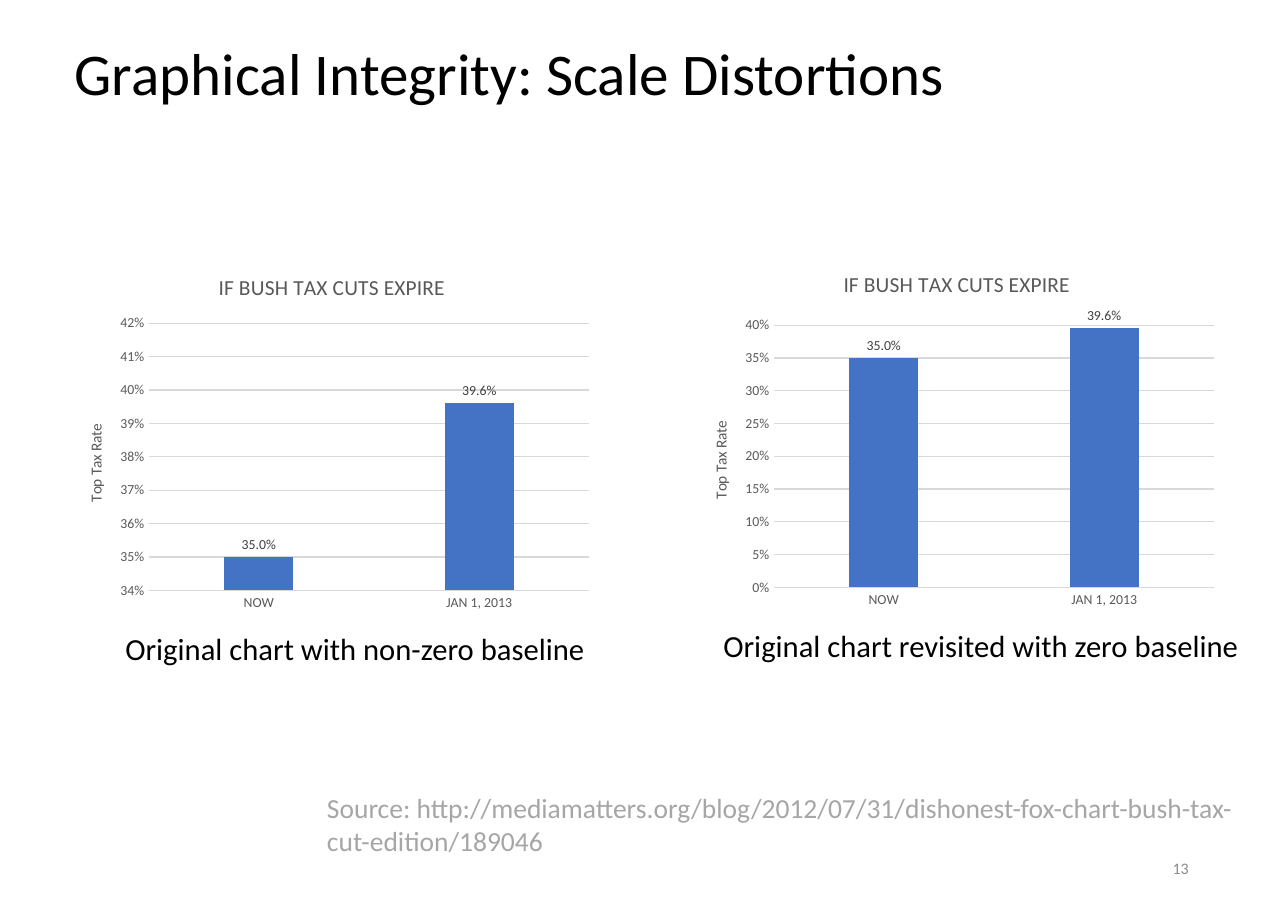
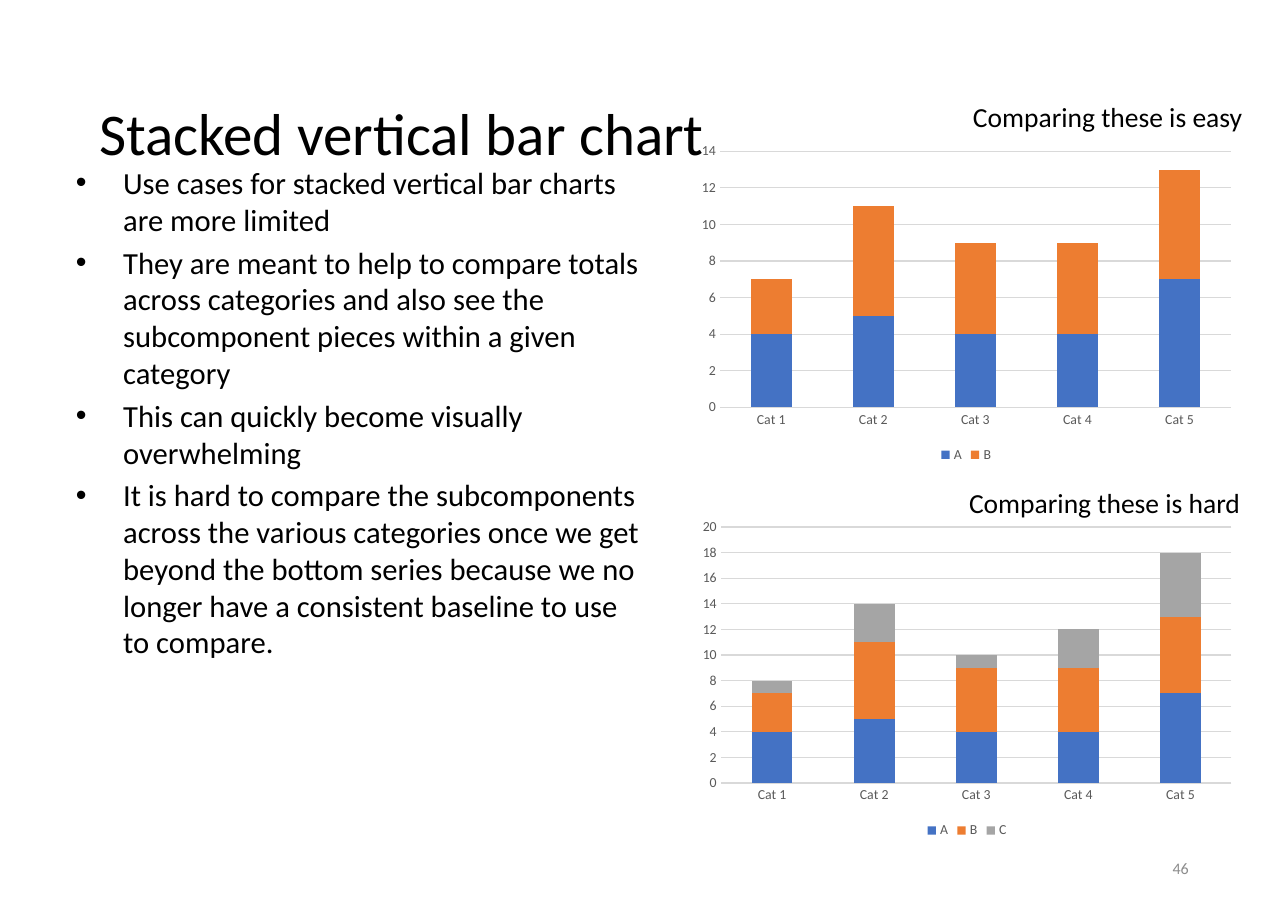
import pptx
import pptx.chart.data
import pptx.dml.color
import pptx.enum.chart
import pptx.enum.text
import pptx.oxml.ns
import pptx.util
from lxml import etree

Cm, Pt = pptx.util.Cm, pptx.util.Pt
RGBColor = pptx.dml.color.RGBColor
ALIGN = pptx.enum.text.PP_ALIGN
ANCHOR = pptx.enum.text.MSO_ANCHOR
CHART_TYPE = pptx.enum.chart.XL_CHART_TYPE

FONT = "Calibri"
BLACK = RGBColor(0x00, 0x00, 0x00)
PAGE_GREY = RGBColor(0x8C, 0x8C, 0x8C)
SOURCE_GREY = RGBColor(0xA6, 0xA6, 0xA6)
CHART_GREY = RGBColor(0x59, 0x59, 0x59)
LABEL_GREY = RGBColor(0x40, 0x40, 0x40)
GRID_GREY = RGBColor(0xD9, 0xD9, 0xD9)
SERIES_COLORS = (
    RGBColor(0x44, 0x72, 0xC4),
    RGBColor(0xED, 0x7D, 0x31),
    RGBColor(0xA5, 0xA5, 0xA5),
)

# Boxes are (left, top, width, height) in centimetres.
PAGE_NUMBER_BOX = (20.98, 19.46, 6.68, 1.12)

TAX_TITLE = "IF BUSH TAX CUTS EXPIRE"
TAX_AXIS_TITLE = "Top Tax Rate"
TAX_CATEGORIES = ("NOW", "JAN 1, 2013")
TAX_SERIES = {"Series 1": (0.35, 0.396)}
TAX_CHARTS = [
    # chart box, axis minimum, axis step, caption, caption box
    ((1.47, 5.89, 12.37, 8.36), 0.34, 0.01,
     "Original chart with non-zero baseline", (2.64, 14.4, 11.2, 1.12)),
    ((15.88, 5.82, 12.37, 8.36), 0, 0.05,
     "Original chart revisited with zero baseline", (16.43, 14.33, 12.57, 1.12)),
]
TAX_SOURCE = ("Source: http://mediamatters.org/blog/2012/07/31/"
              "dishonest-fox-chart-bush-tax-cut-edition/189046")

STACK_BULLETS = [
    "Use cases for stacked vertical bar charts are more limited",
    "They are meant to help to compare totals across categories and also see "
    "the subcomponent pieces within a given category",
    "This can quickly become visually overwhelming",
    "It is hard to compare the subcomponents across the various categories once "
    "we get beyond the bottom series because we no longer have a consistent "
    "baseline to use to compare.",
]
STACK_CATEGORIES = [f"Cat {number}" for number in range(1, 6)]
STACK_SERIES = {"A": (4, 5, 4, 4, 7), "B": (3, 6, 5, 5, 6), "C": (1, 3, 1, 3, 5)}
STACK_CHARTS = [
    # chart box, series shown, axis maximum, remark, remark box
    ((15.93, 3.15, 12.7, 7.62), "AB", 14,
     "Comparing these is easy", (20.8, 2.18, 8.1, 1.02)),
    ((15.95, 11.81, 12.7, 7.62), "ABC", 20,
     "Comparing these is hard", (20.75, 11.07, 8.1, 1.02)),
]


def cm_box(box):
    return [Cm(length) for length in box]


def set_font(font, size, color):
    font.name = FONT
    font.size = Pt(size)
    font.bold = False
    font.color.rgb = color


def add_text(slide, box, text, size, color=BLACK, align=ALIGN.LEFT,
             anchor=ANCHOR.TOP, wrap=True):
    frame = slide.shapes.add_textbox(*cm_box(box)).text_frame
    frame.word_wrap = wrap
    frame.vertical_anchor = anchor
    paragraph = frame.paragraphs[0]
    paragraph.text = text
    paragraph.alignment = align
    set_font(paragraph.font, size, color)


def add_titled_slide(deck, title, title_box, page_number):
    slide = deck.slides.add_slide(deck.slide_layouts[5])
    heading = slide.shapes.title
    heading.left, heading.top, heading.width, heading.height = cm_box(title_box)
    frame = heading.text_frame
    frame.auto_size = pptx.enum.text.MSO_AUTO_SIZE.NONE
    frame.vertical_anchor = ANCHOR.MIDDLE
    paragraph = frame.paragraphs[0]
    paragraph.text = title
    paragraph.alignment = ALIGN.LEFT
    paragraph.line_spacing = 0.9
    set_font(paragraph.font, 38.6, BLACK)
    add_text(slide, PAGE_NUMBER_BOX, str(page_number), 10.5, PAGE_GREY,
             ALIGN.RIGHT, ANCHOR.MIDDLE)
    return slide


def add_bullets(slide, box, items):
    frame = slide.shapes.add_textbox(*cm_box(box)).text_frame
    frame.word_wrap = True
    frame.margin_left = frame.margin_right = Cm(0.28)
    frame.margin_top = frame.margin_bottom = Cm(0.15)
    for index, item in enumerate(items):
        paragraph = frame.add_paragraph() if index else frame.paragraphs[0]
        paragraph.text = item
        if index:
            paragraph.space_before = Pt(4)
        properties = paragraph._p.get_or_add_pPr()
        properties.set("marL", str(Cm(1.09)))
        properties.set("indent", str(-Cm(1.09)))
        bullet_font = etree.SubElement(properties, pptx.oxml.ns.qn("a:buFont"))
        bullet_font.set("typeface", "Arial")
        bullet = etree.SubElement(properties, pptx.oxml.ns.qn("a:buChar"))
        bullet.set("char", "•")
        set_font(paragraph.font, 20, BLACK)


def add_column_chart(slide, box, kind, categories, series, minimum, maximum,
                     step, gap, overlap):
    """Add a column chart with the deck's axis, grid and series styling."""
    data = pptx.chart.data.CategoryChartData()
    data.categories = categories
    for name, values in series.items():
        data.add_series(name, values)
    chart = slide.shapes.add_chart(kind, *cm_box(box), data).chart
    chart.has_title = False
    chart.has_legend = False
    set_font(chart.font, 9, CHART_GREY)

    plot = chart.plots[0]
    plot.vary_by_categories = False
    plot.gap_width, plot.overlap = gap, overlap
    for column, color in zip(plot.series, SERIES_COLORS):
        column.format.fill.solid()
        column.format.fill.fore_color.rgb = color

    category_axis, value_axis = chart.category_axis, chart.value_axis
    for axis in (category_axis, value_axis):
        axis.major_tick_mark = pptx.enum.chart.XL_TICK_MARK.NONE
        axis.minor_tick_mark = pptx.enum.chart.XL_TICK_MARK.NONE
        set_font(axis.tick_labels.font, 9, CHART_GREY)
    value_axis.has_major_gridlines = True
    for line in (category_axis.format.line, value_axis.major_gridlines.format.line):
        line.color.rgb = GRID_GREY
        line.width = Pt(0.75)
    value_axis.format.line.fill.background()
    value_axis.minimum_scale = minimum
    value_axis.maximum_scale = maximum
    value_axis.major_unit = step
    return chart


def set_chart_heading(owner, text, size):
    """Give a chart or an axis its title."""
    owner.has_title = True
    paragraph = (owner.chart_title if hasattr(owner, "chart_title")
                 else owner.axis_title).text_frame.paragraphs[0]
    paragraph.text = text
    set_font(paragraph.font, size, CHART_GREY)


def add_tax_chart(slide, box, minimum, step):
    chart = add_column_chart(slide, box, CHART_TYPE.COLUMN_CLUSTERED,
                             TAX_CATEGORIES, TAX_SERIES, minimum, 0.42, step,
                             gap=219, overlap=-27)
    set_chart_heading(chart, TAX_TITLE, 14)
    chart.chart_title.include_in_layout = False
    set_chart_heading(chart.value_axis, TAX_AXIS_TITLE, 10)
    chart.value_axis.tick_labels.number_format = "0%"
    chart.value_axis.tick_labels.number_format_is_linked = False
    labels = chart.plots[0].series[0].data_labels
    labels.show_value = True
    labels.number_format = "0.0%"
    labels.number_format_is_linked = False
    labels.position = pptx.enum.chart.XL_LABEL_POSITION.OUTSIDE_END
    set_font(labels.font, 9, LABEL_GREY)


def add_stacked_chart(slide, box, names, maximum):
    shown = {name: STACK_SERIES[name] for name in names}
    chart = add_column_chart(slide, box, CHART_TYPE.COLUMN_STACKED,
                             STACK_CATEGORIES, shown, 0, maximum, 2,
                             gap=150, overlap=100)
    chart.has_legend = True
    chart.legend.position = pptx.enum.chart.XL_LEGEND_POSITION.BOTTOM
    chart.legend.include_in_layout = False
    set_font(chart.legend.font, 9, CHART_GREY)


def build_scale_slide(deck):
    slide = add_titled_slide(deck, "Graphical Integrity: Scale Distortions",
                             (1.47, 0, 24.16, 3.51), 13)
    add_text(slide, (7.29, 18.11, 21.77, 1.8), TAX_SOURCE, 18, SOURCE_GREY)
    for box, minimum, step, caption, caption_box in TAX_CHARTS:
        add_tax_chart(slide, box, minimum, step)
        add_text(slide, caption_box, caption, 20, wrap=False)


def build_stacked_slide(deck):
    slide = add_titled_slide(deck, "Stacked vertical bar chart",
                             (2.03, 1.12, 25.63, 4.06), 46)
    add_bullets(slide, (1.47, 3.63, 13.77, 14.25), STACK_BULLETS)
    for box, names, maximum, remark, remark_box in STACK_CHARTS:
        add_stacked_chart(slide, box, names, maximum)
        add_text(slide, remark_box, remark, 18, align=ALIGN.RIGHT)


def main():
    deck = pptx.Presentation()
    deck.slide_width, deck.slide_height = Cm(29.7), Cm(21)
    build_scale_slide(deck)
    build_stacked_slide(deck)
    deck.save("out.pptx")


if __name__ == "__main__":
    main()
